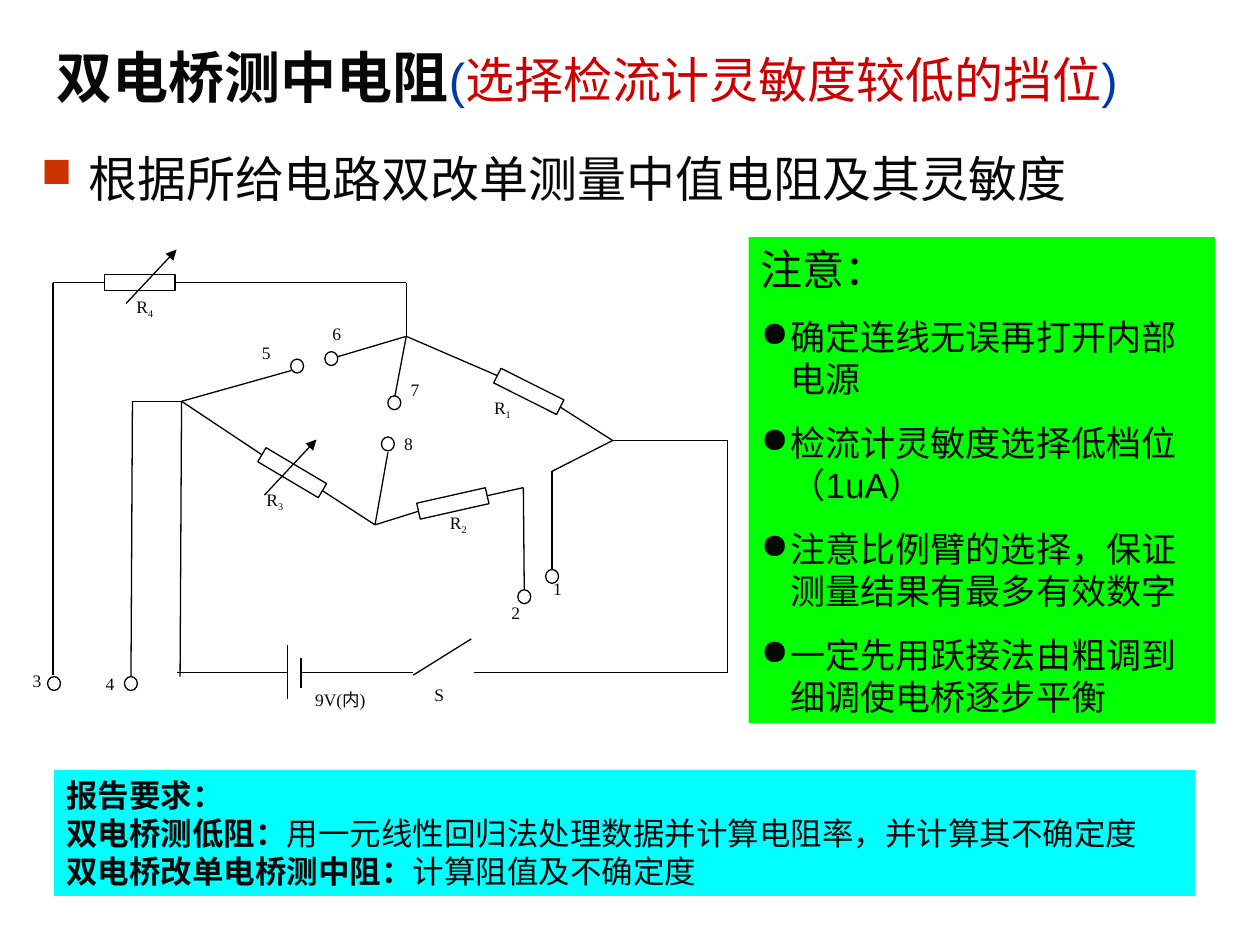
"""Build the slide on measuring a medium resistance with a converted double bridge."""
from math import cos, radians, sin

from pptx import Presentation
from pptx.dml.color import RGBColor
from pptx.enum.shapes import MSO_CONNECTOR, MSO_SHAPE
from pptx.enum.text import MSO_ANCHOR, MSO_AUTO_SIZE, PP_ALIGN
from pptx.oxml.xmlchemy import OxmlElement
from pptx.util import Cm, Pt

STRAIGHT = MSO_CONNECTOR.STRAIGHT
RECTANGLE, OVAL = MSO_SHAPE.RECTANGLE, MSO_SHAPE.OVAL
TOP, MIDDLE = MSO_ANCHOR.TOP, MSO_ANCHOR.MIDDLE
LEFT, CENTER = PP_ALIGN.LEFT, PP_ALIGN.CENTER
GROW = MSO_AUTO_SIZE.SHAPE_TO_FIT_TEXT

THEME = {
    "wire": "000000", "part": "FFFFFF", "note": "00FF00", "report": "00FFFF",
    "ink": "080808", "bullet": "CC3300",
    "title": ("Arial", 32, True, "080808"),
    "bracket": ("Arial", 28, False, "0039AC"),
    "hint": ("Arial", 28, False, "CC0000"),
    "topic": ("Arial", 28, False, "080808"),
    "note head": ("Arial", 24, False, "080808"),
    "note item": ("Arial", 20, False, "080808"),
    "report head": ("Arial", 18, True, "080808"),
    "report body": ("Arial", 18, False, "080808"),
    "label": ("Times New Roman", 10, False, "080808"),
    "subscript": ("Times New Roman", 10, False, "080808"),
}


def write(frame, paragraphs, bullet=None, gap=0, align=LEFT, **frame_format):
    settings = {"word_wrap": True, "vertical_anchor": TOP, **frame_format}
    for attribute, value in settings.items():
        setattr(frame, attribute, value)
    for index, runs in enumerate(paragraphs):
        paragraph = frame.paragraphs[0] if index == 0 else frame.add_paragraph()
        paragraph.alignment = align
        if index:
            paragraph.space_before = Pt(gap)
        if bullet and index >= bullet["first"]:
            properties = paragraph._p.get_or_add_pPr()
            properties.set("marL", str(Cm(bullet["indent"])))
            properties.set("indent", str(-Cm(bullet["indent"])))
            color = OxmlElement("a:buClr")
            rgb = OxmlElement("a:srgbClr")
            rgb.set("val", THEME[bullet["color"]])
            color.append(rgb)
            size = OxmlElement("a:buSzPct")
            size.set("val", str(bullet["percent"] * 1000))
            mark = OxmlElement("a:buChar")
            mark.set("char", bullet["mark"])
            properties.extend([color, size, mark])
        for text, style in runs:
            run = paragraph.add_run()
            run.text = text
            name, points, bold, ink = THEME[style]
            for attribute, value in {"name": name, "size": Pt(points), "bold": bold}.items():
                setattr(run.font, attribute, value)
            run.font.color.rgb = RGBColor.from_string(ink)
            if style == "subscript":
                run._r.get_or_add_rPr().set("baseline", "-25000")


def add_block(kind, left, top, width, height, fill, outlined=True):
    block = slide.shapes.add_shape(kind, Cm(left), Cm(top), Cm(width), Cm(height))
    block.shadow.inherit = False
    block.fill.solid()
    block.fill.fore_color.rgb = RGBColor.from_string(THEME[fill])
    if outlined:
        block.line.color.rgb = RGBColor.from_string(THEME["wire"])
        block.line.width = Pt(0.75)
    else:
        block.line.fill.background()
    return block


presentation = Presentation()
presentation.slide_width, presentation.slide_height = Cm(25.4), Cm(19.05)
slide = presentation.slides.add_slide(presentation.slide_layouts[6])

title = slide.shapes.add_textbox(Cm(0.89), Cm(0.53), Cm(24.21), Cm(2.01))
write(title.text_frame, [[("双电桥测中电阻", "title"), ("(", "bracket"),
                          ("选择检流计灵敏度较低的挡位", "hint"), (")", "bracket")]],
      vertical_anchor=MIDDLE)

topic = slide.shapes.add_textbox(Cm(0.58), Cm(2.87), Cm(23.72), Cm(1.5))
write(topic.text_frame, [[("根据所给电路双改单测量中值电阻及其灵敏度", "topic")]],
      bullet={"first": 0, "indent": 0.95, "color": "bullet", "percent": 85, "mark": "■"})

resistor_length, resistor_height = 1.42, 0.33
resistor_places = {"R1": (10.66, 7.89, 26.6), "R2": (9.13, 10.15, -12.7),
                   "R3": (5.89, 9.53, 30.7), "R4": (2.82, 5.7, 0)}
resistors, resistor_ends = {}, {}
for name, (x, y, angle) in resistor_places.items():
    resistors[name] = add_block(RECTANGLE, x - resistor_length / 2, y - resistor_height / 2,
                                resistor_length, resistor_height, "part")
    resistors[name].rotation = angle
    for site, sign in ((1, -1), (3, 1)):
        reach = sign * resistor_length / 2
        resistor_ends[name, site] = (x + reach * cos(radians(angle)),
                                     y + reach * sin(radians(angle)))

supply_y, battery_x, cell_x, right_x = 13.56, 5.8, 6.07, 14.67
top_node, left_node, bottom_node, right_node = (8.19, 6.78), (3.66, 8.09), (7.56, 10.58), (12.35, 8.88)
chains = [
    [(1.07, 13.61), (1.07, 5.7), ("R4", 1)],
    [("R4", 3), (8.19, 5.7), top_node, (6.81, 7.19)],
    [(5.87, 7.47), left_node, ("R3", 1)],
    [("R3", 3), bottom_node, ("R2", 1)],
    [("R2", 3), (10.55, 9.83), (10.57, 12.05)],
    [top_node, ("R1", 1)],
    [("R1", 3), right_node, (11.13, 9.5), (11.13, 11.53)],
    [right_node, (right_x, 8.88), (right_x, supply_y), (9.55, supply_y)],
    [top_node, (7.92, 8.2)],
    [bottom_node, (7.82, 9.12)],
    [left_node, (3.63, 13.64)],
    [left_node, (2.67, 8.09), (2.64, 13.67)],
    [(3.56, supply_y), (battery_x, supply_y)],
    [(battery_x, 13), (battery_x, 14.1)],
    [(cell_x, 13.26), (cell_x, 13.87)],
    [(cell_x, supply_y), (8.33, supply_y)],
    [(9.5, 12.88), (8.33, 13.61)],
]
adjusters = [[(2.54, 6.12), (3.56, 5.03)], [(5.33, 9.98), (6.38, 8.86)]]
for chain in chains + adjusters:
    for start, end in zip(chain, chain[1:]):
        x1, y1 = resistor_ends.get(start, start)
        x2, y2 = resistor_ends.get(end, end)
        wire = slide.shapes.add_connector(STRAIGHT, Cm(x1), Cm(y1), Cm(x2), Cm(y2))
        if start in resistor_ends:
            wire.begin_connect(resistors[start[0]], start[1])
        if end in resistor_ends:
            wire.end_connect(resistors[end[0]], end[1])
        ends = {"begin_x": x1, "begin_y": y1, "end_x": x2, "end_y": y2}
        for attribute, value in ends.items():
            setattr(wire, attribute, Cm(value))
        wire.line.color.rgb = RGBColor.from_string(THEME["wire"])
        wire.line.width = Pt(0.75)
        if chain in adjusters:
            arrowhead = OxmlElement("a:tailEnd")
            arrowhead.set("type", "triangle")
            wire.line._get_or_add_ln().append(arrowhead)
        wire._element.spPr.append(OxmlElement("a:effectLst"))

terminals = {
    "1": (11.13, 11.62, 11.05, 11.53), "2": (10.57, 12.03, 10.21, 12.01),
    "3": (1.09, 13.78, 0.56, 13.39), "4": (2.64, 13.78, 2.03, 13.44),
    "5": (5.99, 7.38, 5.18, 6.76), "6": (6.68, 7.23, 6.6, 6.38),
    "7": (7.95, 8.12, 8.18, 7.52), "8": (7.82, 8.95, 8.05, 8.61),
}
labels = [
    ("R", "1", 9.86, 7.87, 0.94, LEFT), ("R", "2", 8.2, 10.19, 2.08, CENTER),
    ("R", "3", 4.5, 9.73, 2.08, CENTER), ("R", "4", 1.88, 5.84, 2.08, CENTER),
    ("9V(内)", "", 5.82, 13.77, 2.08, CENTER), ("S", "", 7.98, 13.67, 1.75, CENTER),
]
for number, (x, y, label_x, label_y) in terminals.items():
    add_block(OVAL, x - 0.13, y - 0.14, 0.26, 0.28, "part")
    labels.append((number, "", label_x, label_y, 0.84, LEFT))

for text, subscript, x, y, width, align in labels:
    label = slide.shapes.add_textbox(Cm(x), Cm(y), Cm(width), Cm(0.99))
    runs = [(text, "label")] + ([(subscript, "subscript")] if subscript else [])
    write(label.text_frame, [runs], align=align, margin_left=Cm(0.1), margin_right=Cm(0.1))

cautions = ["确定连线无误再打开内部电源", "检流计灵敏度选择低档位（1uA）",
            "注意比例臂的选择，保证测量结果有最多有效数字",
            "一定先用跃接法由粗调到细调使电桥逐步平衡"]
note = add_block(RECTANGLE, 15.09, 4.78, 9.4, 9.8, "note", outlined=False)
write(note.text_frame, [[("注意：", "note head")]] + [[(text, "note item")] for text in cautions],
      bullet={"first": 1, "indent": 0.6, "color": "ink", "percent": 100, "mark": "●"},
      gap=12.5, auto_size=GROW)

report = add_block(RECTANGLE, 1.09, 15.52, 23.01, 2.54, "report", outlined=False)
write(report.text_frame, [
    [("报告要求：", "report head")],
    [("双电桥测低阻：", "report head"),
     ("用一元线性回归法处理数据并计算电阻率，并计算其不确定度", "report body")],
    [("双电桥改单电桥测中阻：", "report head"), ("计算阻值及不确定度", "report body")],
], auto_size=GROW)

presentation.save("out.pptx")
